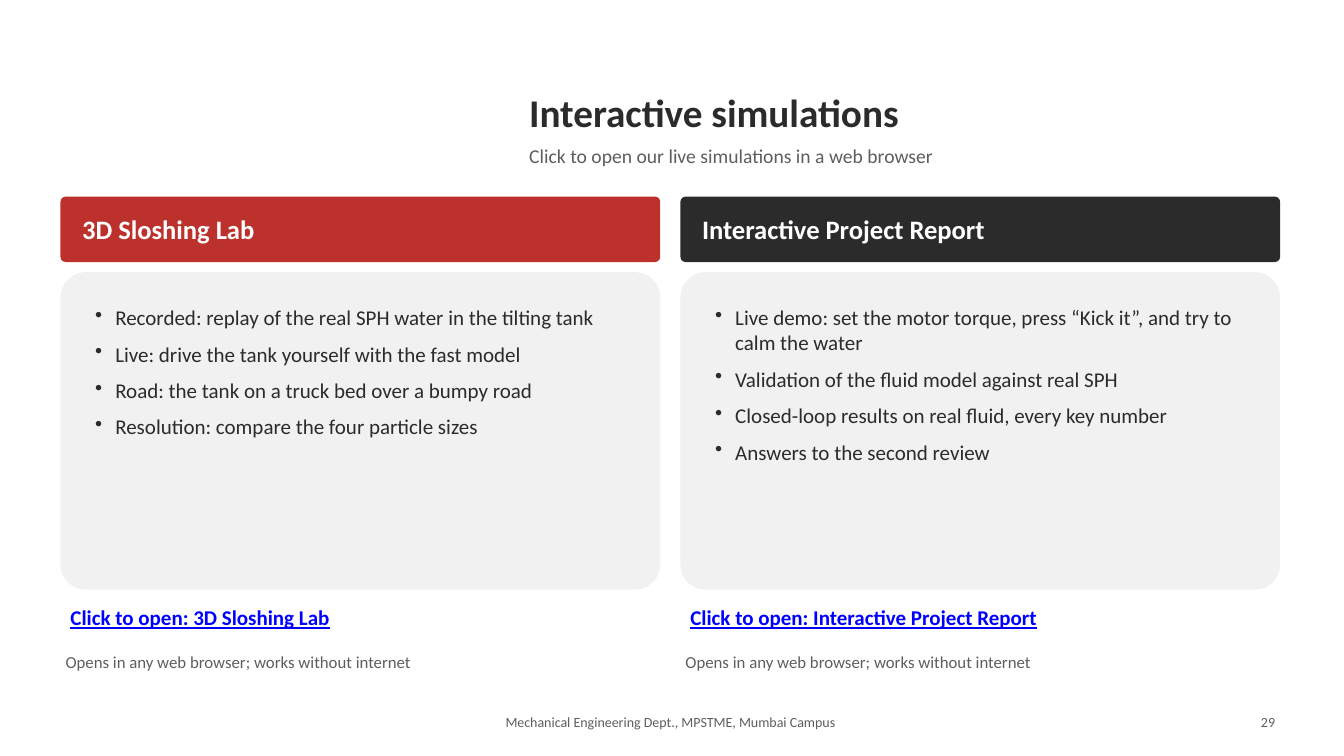
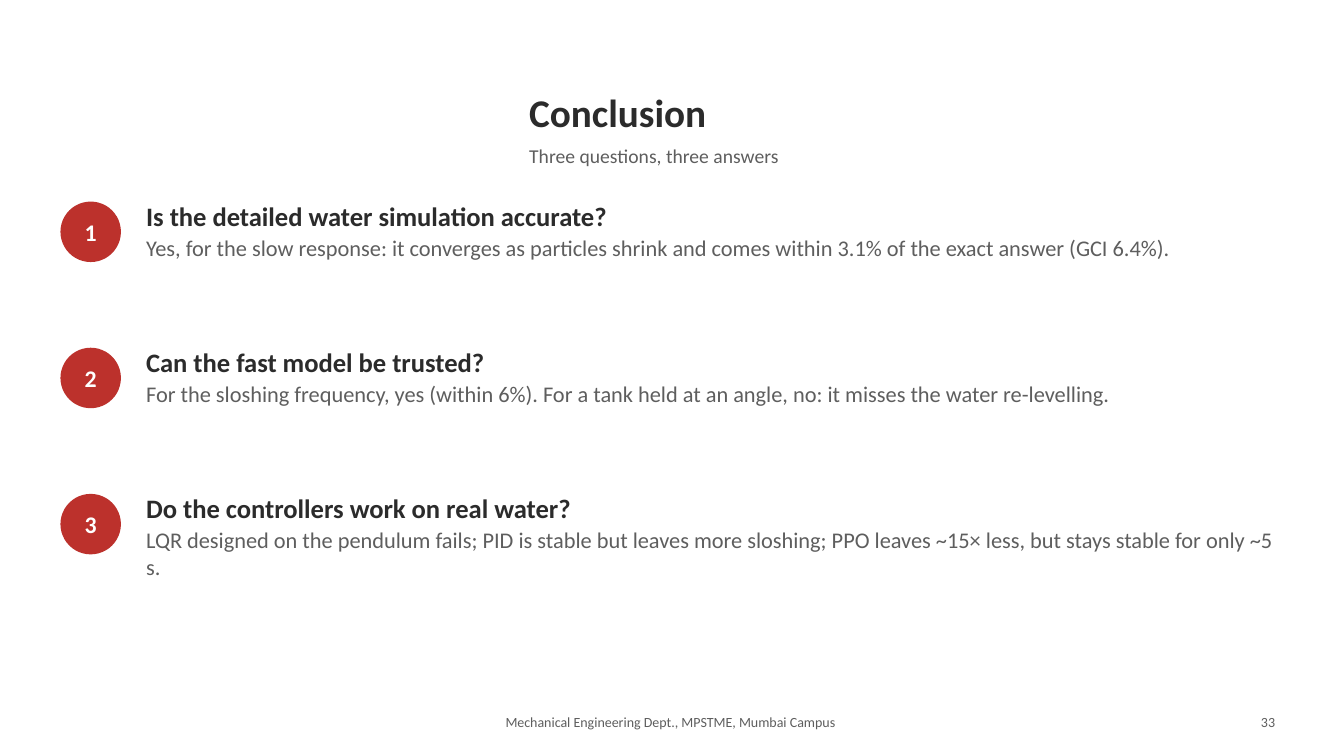
import pptx
import pptx.util
import pptx.dml.color
import pptx.enum.shapes
import pptx.enum.text
from dataclasses import dataclass
from lxml import etree

Pt = pptx.util.Pt
RGB = pptx.dml.color.RGBColor
ALIGN = pptx.enum.text.PP_ALIGN
ANCHOR = pptx.enum.text.MSO_ANCHOR
SHAPE = pptx.enum.shapes.MSO_SHAPE

FONT = "Calibri"
RED = RGB(0xBC, 0x31, 0x2C)
DARK = RGB(0x2B, 0x2B, 0x2B)
GREY = RGB(0x5E, 0x5E, 0x5E)
PALE = RGB(0xF1, 0xF1, 0xF1)
WHITE = RGB(0xFF, 0xFF, 0xFF)
BLUE = RGB(0x00, 0x00, 0xFF)

WIDE, HIGH = 960, 540
LEFT, RIGHT = 43.2, 914.4
GAP = 14.4
INSET = (3.6,) * 4


@dataclass
class Style:
    size: float
    color: RGB
    bold: bool = False
    after: float = 6
    align: ALIGN = ALIGN.LEFT
    line: bool = False
    bullet: bool = False


TITLE = Style(28, DARK, bold=True)
SUB = Style(14, GREY)
FOOT = Style(10, GREY, align=ALIGN.CENTER)
PAGE = Style(10, GREY, align=ALIGN.RIGHT)
HEAD = Style(19, WHITE, bold=True, after=4)
ITEM = Style(15, DARK, after=8, bullet=True)
LINK = Style(15, BLUE, bold=True, after=0, line=True)
HINT = Style(12, GREY)
BADGE = Style(17, WHITE, bold=True, after=4, align=ALIGN.CENTER)
ASK = Style(19, DARK, bold=True, after=2)
REPLY = Style(16, GREY, after=2)


def write(frame, lines, inset, anchor):
    """Fill a text frame with (text, style) paragraphs."""
    frame.word_wrap = True
    frame.vertical_anchor = anchor
    (frame.margin_left, frame.margin_top,
     frame.margin_right, frame.margin_bottom) = map(Pt, inset)
    for i, (text, style) in enumerate(lines):
        para = frame.add_paragraph() if i else frame.paragraphs[0]
        para.alignment = style.align
        para.space_after = Pt(style.after)
        if style.bullet:
            props = para._p.get_or_add_pPr()
            props.set("marL", str(Pt(15.84)))
            props.set("indent", str(Pt(-14.4)))
            tag = pptx.oxml.ns.qn("a:buChar")
            etree.SubElement(props, tag).set("char", "•")
        run = para.add_run()
        run.text = text
        font = run.font
        font.name, font.size, font.bold = FONT, Pt(style.size), style.bold
        font.color.rgb = style.color
        if style.line:
            font.underline = True


def label(slide, box, *lines, inset=INSET, anchor=ANCHOR.TOP):
    frame = slide.shapes.add_textbox(*map(Pt, box)).text_frame
    write(frame, lines, inset, anchor)
    frame.auto_size = pptx.enum.text.MSO_AUTO_SIZE.SHAPE_TO_FIT_TEXT


def block(slide, kind, box, fill, lines, inset, anchor=ANCHOR.MIDDLE):
    shape = slide.shapes.add_shape(kind, *map(Pt, box))
    shape.shadow.inherit = False
    shape.fill.solid()
    shape.fill.fore_color.rgb = fill
    shape.line.fill.background()
    if kind == SHAPE.ROUNDED_RECTANGLE:
        shape.adjustments[0] = 0.08
    write(shape.text_frame, lines, (inset,) * 4, anchor)


def start(deck, title, sub):
    """Add a blank slide with its title and subtitle."""
    slide = deck.slides.add_slide(deck.slide_layouts[6])
    label(slide, (374.4, 57.6, 558, 44.64), (title, TITLE),
          anchor=ANCHOR.MIDDLE)
    label(slide, (374.4, 99.36, 558, 27.36), (sub, SUB))
    return slide


def footer(slide, page):
    top, high = 506.16, 20.16
    label(slide, (230.4, top, 496.8, high),
          ("Mechanical Engineering Dept., MPSTME, Mumbai Campus", FOOT))
    label(slide, (RIGHT - 57.6, top, 57.6, high), (page, PAGE))


def card(slide, box, name, fill, items):
    """Header bar, bullet panel, link line and hint, top to bottom."""
    x, y, w, h = box
    bar, panel = 46.8, 226.8
    block(slide, SHAPE.ROUNDED_RECTANGLE, (x, y, w, bar), fill,
          [(name, HEAD)], 14.4)
    y += bar + 7.2
    block(slide, SHAPE.ROUNDED_RECTANGLE, (x, y, w, panel), PALE,
          [(item, ITEM) for item in items], 18, ANCHOR.TOP)
    y += panel + 7.2
    label(slide, (x, y, w, 36), (f"Click to open: {name}", LINK),
          inset=(7.2, 3.6, 7.2, 3.6))
    label(slide, (x, box[1] + h - 28.8, w, 28.8),
          ("Opens in any web browser; works without internet", HINT))


def answer(slide, box, number, ask, reply):
    """Numbered badge beside a question and its answer."""
    x, y, w, h = box
    size, shift = 43.2, 57.6
    block(slide, SHAPE.OVAL, (x, y + 5.04, size, size), RED,
          [(str(number), BADGE)], 0)
    label(slide, (x + shift, y, w - shift, h), (ask, ASK), (reply, REPLY))


CARDS = [
    ("3D Sloshing Lab", RED, [
        "Recorded: replay of the real SPH water in the tilting tank",
        "Live: drive the tank yourself with the fast model",
        "Road: the tank on a truck bed over a bumpy road",
        "Resolution: compare the four particle sizes"]),
    ("Interactive Project Report", DARK, [
        "Live demo: set the motor torque, press “Kick it”, and try to "
        "calm the water",
        "Validation of the fluid model against real SPH",
        "Closed-loop results on real fluid, every key number",
        "Answers to the second review"]),
]

ANSWERS = [
    ("Is the detailed water simulation accurate?",
     "Yes, for the slow response: it converges as particles shrink and "
     "comes within 3.1% of the exact answer (GCI 6.4%)."),
    ("Can the fast model be trusted?",
     "For the sloshing frequency, yes (within 6%). For a tank held at an "
     "angle, no: it misses the water re-levelling."),
    ("Do the controllers work on real water?",
     "LQR designed on the pendulum fails; PID is stable but leaves more "
     "sloshing; PPO leaves ~15× less, but stays stable for only ~5 s."),
]


def demos(deck):
    slide = start(deck, "Interactive simulations",
                  "Click to open our live simulations in a web browser")
    wide = (RIGHT - LEFT - GAP) / 2
    for i, (name, fill, items) in enumerate(CARDS):
        card(slide, (LEFT + i * (wide + GAP), 140.4, wide, 350.64),
             name, fill, items)
    footer(slide, "29")


def closing(deck):
    slide = start(deck, "Conclusion", "Three questions, three answers")
    high = 104.4
    for i, (ask, reply) in enumerate(ANSWERS):
        answer(slide, (LEFT, 138.96 + i * high, RIGHT - LEFT, high),
               i + 1, ask, reply)
    footer(slide, "33")


def main():
    deck = pptx.Presentation()
    deck.slide_width, deck.slide_height = Pt(WIDE), Pt(HIGH)
    demos(deck)
    closing(deck)
    deck.save("out.pptx")


if __name__ == "__main__":
    main()
